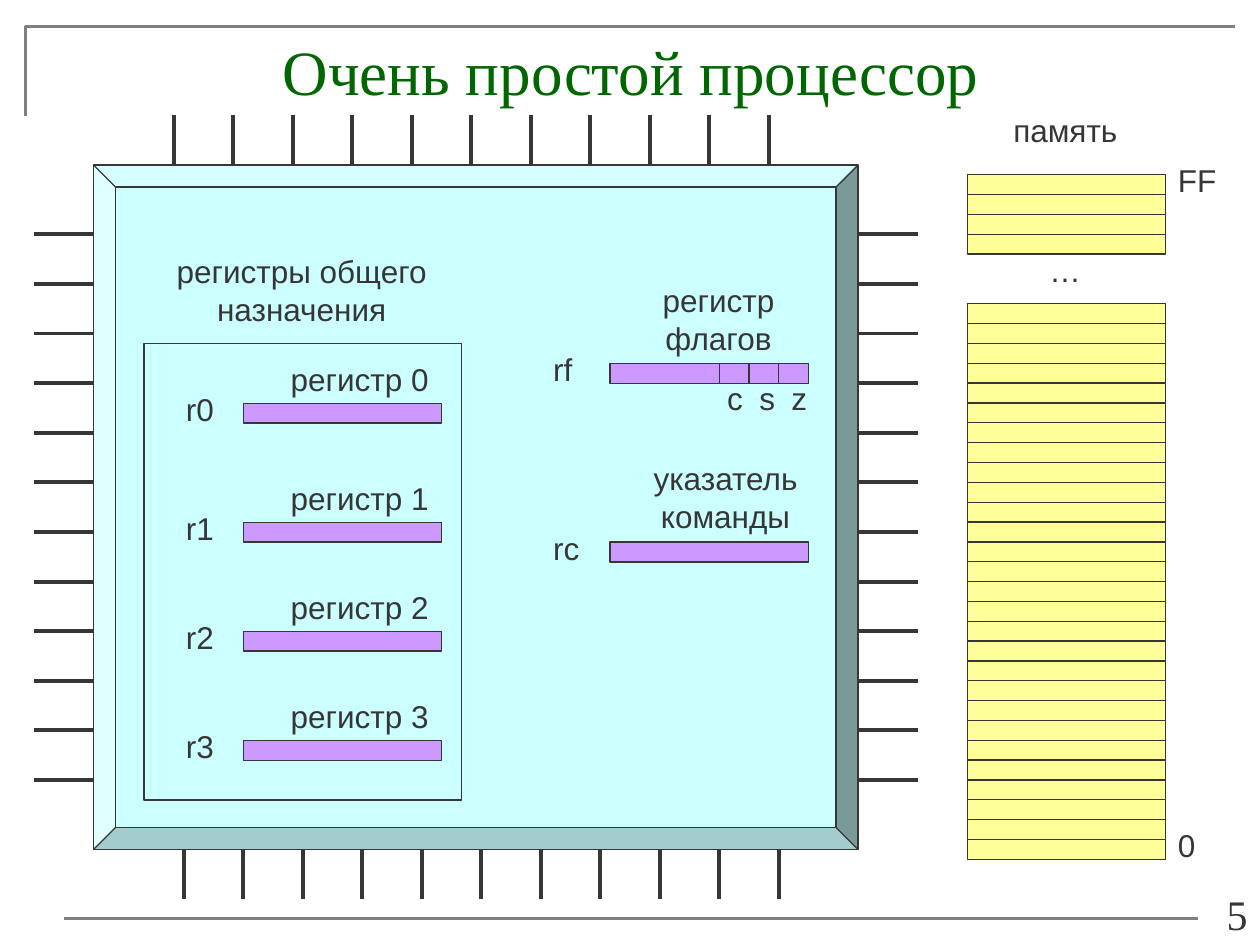
"""Build a slide with the block diagram of a very simple processor."""
from lxml import etree
from pptx import Presentation
from pptx.dml.color import RGBColor
from pptx.enum.shapes import MSO_CONNECTOR, MSO_SHAPE
from pptx.enum.text import MSO_ANCHOR, MSO_AUTO_SIZE, PP_ALIGN
from pptx.oxml.ns import qn
from pptx.util import Pt

RECT, BEVEL = MSO_SHAPE.RECTANGLE, MSO_SHAPE.BEVEL
STRAIGHT = MSO_CONNECTOR.STRAIGHT
TOP, BOTTOM = MSO_ANCHOR.TOP, MSO_ANCHOR.BOTTOM
LEFT, CENTER, RIGHT = PP_ALIGN.LEFT, PP_ALIGN.CENTER, PP_ALIGN.RIGHT
NO_FIT, GROW = MSO_AUTO_SIZE.NONE, MSO_AUTO_SIZE.SHAPE_TO_FIT_TEXT

DARK = RGBColor(0x36, 0x36, 0x36)
GRAY = RGBColor(0x80, 0x80, 0x80)
GREEN = RGBColor(0x00, 0x66, 0x00)
CYAN = RGBColor(0xCC, 0xFF, 0xFF)
VIOLET = RGBColor(0xCC, 0x99, 0xFF)
YELLOW = RGBColor(0xFF, 0xFF, 0x99)

CELL_W, CELL_H = 113.4, 11.34
FLAG_W = 17
MEMORY_X = 552.8
REGISTER_X, SPECIAL_X = 139, 348.6


def write(tf, lines, align, font="Arial", size=18, color=DARK):
    """Fill a text frame with one formatted paragraph per line."""
    for i, line in enumerate(lines):
        p = tf.add_paragraph() if i else tf.paragraphs[0]
        p.alignment = align
        r = p.add_run()
        r.text = line
        r.font.name, r.font.size = font, Pt(size)
        r.font.color.rgb = color


def add_label(shapes, lines, x, y, w, h=29, align=LEFT):
    """Add a non-wrapping label that grows with its text."""
    tf = shapes.add_textbox(Pt(x), Pt(y), Pt(w), Pt(h)).text_frame
    tf.word_wrap = False
    tf.auto_size = GROW
    write(tf, lines, align)


def style(sp, fill, color=DARK, width=0.75):
    """Set fill and outline, and drop the shadow."""
    sp.shadow.inherit = False
    if fill is None:
        sp.fill.background()
    else:
        sp.fill.solid()
        sp.fill.fore_color.rgb = fill
    sp.line.color.rgb = color
    sp.line.width = Pt(width)


def add_box(shapes, x, y, w=CELL_W, h=CELL_H, fill=VIOLET, kind=RECT):
    """Add an outlined box."""
    sp = shapes.add_shape(kind, Pt(x), Pt(y), Pt(w), Pt(h))
    style(sp, fill)
    return sp


def add_line(shapes, x1, y1, x2, y2, color=DARK, width=2.25):
    """Add a straight line without a shadow."""
    s = shapes.add_connector(STRAIGHT, Pt(x1), Pt(y1), Pt(x2), Pt(y2))
    s.line.color.rgb = color
    s.line.width = Pt(width)
    etree.SubElement(s._element.spPr, qn("a:effectLst"))


def add_frame(s):
    """Add the title, the page rules and the slide number."""
    builder = s.shapes.build_freeform(Pt(14.4), Pt(66.2))
    builder.add_line_segments([(Pt(14.4), Pt(15)), (Pt(705.8), Pt(15))], close=False)
    style(builder.convert_to_shape(), None, GRAY, 1.5)
    add_line(s.shapes, 36.8, 525, 684.8, 525, GRAY, 1.5)

    title = s.shapes.title
    title.left, title.top, title.width, title.height = Pt(14.4), Pt(15), Pt(692), Pt(96.5)
    tf = title.text_frame
    tf.vertical_anchor = TOP
    tf.auto_size = NO_FIT
    write(tf, ["Очень простой процессор"], CENTER, "Times New Roman", 36, GREEN)

    tf = s.shapes.add_textbox(Pt(552), Pt(508.3), Pt(168), Pt(31.7)).text_frame
    tf.word_wrap = True
    tf.vertical_anchor = BOTTOM
    write(tf, ["5"], RIGHT, "Times New Roman", 24)


def add_chip(shapes):
    """Add the chip body and the pins on its four sides."""
    chip = add_box(shapes, 53.5, 94.4, 436.8, 391, CYAN, BEVEL)
    chip.adjustments[0] = 0.032
    for i in range(11):
        x = 34 * i
        add_line(shapes, 99.2 + x, 65.7, 99.2 + x, 94.4)
        add_line(shapes, 105 + x, 485.4, 105 + x, 514)
    for i in range(12):
        y = 133.9 + 28.35 * i
        add_line(shapes, 19.7, y, 53.7, y)
        add_line(shapes, 490.3, y, 524.3, y)


def add_general_registers(shapes):
    """Add the framed block of general purpose registers."""
    add_box(shapes, 82.2, 196.4, 181.4, 260.8, None)
    add_label(shapes, ["регистры общего", "назначения"], 93.4, 140.5, 158, 50.6, CENTER)
    for i, y in enumerate((230.4, 298.4, 360.8, 423.1)):
        add_box(shapes, REGISTER_X, y)
        add_label(shapes, [f"регистр {i}"], 159, y - 28.2, 93.6)
        add_label(shapes, [f"r{i}"], 99.2, y - 11.3, 30.4)


def add_special_registers(shapes):
    """Add the flag register and the instruction pointer."""
    flags_y, pointer_y = 207.7, 309.8
    for name, y, w in (("rf", flags_y, 25.2), ("rc", pointer_y, 29.5)):
        add_box(shapes, SPECIAL_X, y)
        add_label(shapes, [name], 309, y - 11.3, w)
    add_label(shapes, ["регистр", "флагов"], 371.3, 157, 78.5, 50.6, CENTER)
    add_label(shapes, ["указатель", "команды"], 365.6, 258.8, 98, 50.6, CENTER)
    for i, flag in enumerate("сsz"):
        add_box(shapes, 411 + FLAG_W * i, flags_y, FLAG_W)
        add_label(shapes, [flag], 408.4 + 18.4 * i, 213.3, 23.8)


def add_memory(shapes):
    """Add the grouped memory column with its address labels."""
    group = shapes.add_group_shape().shapes
    for top, count in ((99.9, 4), (173.6, 28)):
        for i in range(count):
            add_box(group, MEMORY_X, top + CELL_H * i, fill=YELLOW)
    add_label(group, ["память"], 571.7, 59.8, 74.2, align=CENTER)
    add_label(group, ["…"], 592.6, 139.7, 32.4)
    add_label(group, ["FF"], 666, 88.6, 36.7)
    add_label(group, ["0"], 666, 468.6, 24.5)


def main():
    """Build and save the presentation."""
    prs = Presentation()
    prs.slide_width, prs.slide_height = Pt(720), Pt(540)
    s = prs.slides.add_slide(prs.slide_layouts[5])
    add_frame(s)
    add_chip(s.shapes)
    add_general_registers(s.shapes)
    add_special_registers(s.shapes)
    add_memory(s.shapes)
    prs.save("out.pptx")


if __name__ == "__main__":
    main()
